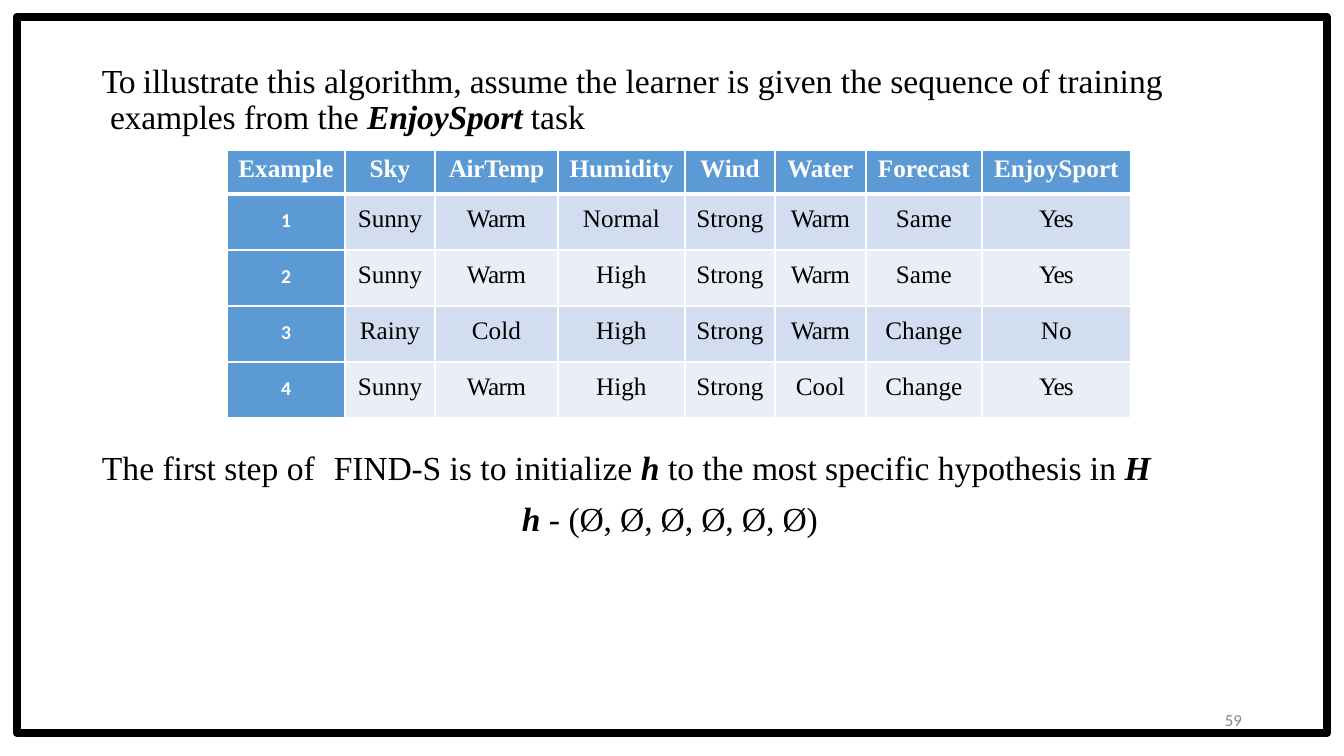
"""Builds the slide that introduces the FIND-S training examples."""
from lxml import etree
from pptx import Presentation
from pptx.dml.color import RGBColor
from pptx.enum.shapes import MSO_SHAPE
from pptx.enum.text import PP_ALIGN
from pptx.oxml.ns import qn
from pptx.util import Pt

PX = 9071.43
RECTANGLE = MSO_SHAPE.RECTANGLE
CENTER = PP_ALIGN.CENTER
COLORS = {"black": "000000", "white": "FFFFFF", "grey": "888888",
          "header": "5B9AD5", "odd": "D2DEEF", "even": "EAEFF7"}
SERIF = {"name": "Times New Roman", "size": Pt(24), "bold": False, "italic": False}
TERM = {**SERIF, "bold": True, "italic": True}
CELL = {**SERIF, "size": Pt(18)}
HEADING = {**CELL, "bold": True}
ROW_LABEL = {"name": "Calibri", "size": Pt(14), "bold": True}
PAGE = {"name": "Calibri", "size": Pt(12)}


def px(length):
    return round(length * PX)


def add_run(paragraph, text, style, color="black", spacing=0):
    run = paragraph.add_run()
    run.text = text
    for attribute, value in style.items():
        setattr(run.font, attribute, value)
    run.font.color.rgb = RGBColor.from_string(COLORS[color])
    if spacing:
        run._r.get_or_add_rPr().set("spc", str(spacing))


prs = Presentation()
prs.slide_width, prs.slide_height = px(1344), px(756)
slide = prs.slides.add_slide(prs.slide_layouts[6])

text_frames = []
for left, top, width, height, inset in [(1222, 713, 23, 20, 0),
                                        (101, 58, 1069, 80, 6),
                                        (101, 436, 1051, 104, 11)]:
    frame = slide.shapes.add_textbox(px(left), px(top), px(width), px(height)).text_frame
    frame.word_wrap = True
    frame.margin_left = frame.margin_right = frame.margin_bottom = 0
    frame.margin_top = px(inset)
    text_frames.append(frame)
page_frame, intro_frame, step_frame = text_frames

page = page_frame.paragraphs[0]
page.line_spacing = Pt(12.4)
page._p.get_or_add_pPr().set("marL", str(px(3)))
add_run(page, "59", PAGE, "grey")

intro = intro_frame.paragraphs[0]
intro.line_spacing = Pt(25.9)
intro_format = intro._p.get_or_add_pPr()
intro_format.set("marL", str(px(9)))
intro_format.set("indent", str(px(-8)))
for text, style, spacing in [
        ("To ", SERIF, -90), ("illustrate ", SERIF, -10), ("this ", SERIF, 0),
        ("algorithm, assume ", SERIF, -10),
        ("the learner is given the sequence of training ", SERIF, 0),
        ("examples ", SERIF, -10), ("from the ", SERIF, 0),
        ("EnjoySport ", TERM, -10), ("task", SERIF, 0)]:
    add_run(intro, text, style, spacing=spacing)

first_step = step_frame.paragraphs[0]
step_format = first_step._p.get_or_add_pPr()
step_format.set("marL", str(px(1)))
tabs = etree.SubElement(step_format, qn("a:tabLst"))
etree.SubElement(tabs, qn("a:tab"), pos=str(px(232)), algn="l")
for text, style, spacing in [
        ("The ", SERIF, 0), ("first ", SERIF, -10), ("step of\t", SERIF, 0),
        ("FIND-S ", SERIF, -10), ("is to initialize ", SERIF, 0), ("h ", TERM, 0),
        ("to the ", SERIF, 0), ("most ", SERIF, -10),
        ("specific hypothesis in ", SERIF, 0), ("H", TERM, 0)]:
    add_run(first_step, text, style, spacing=spacing)

hypothesis = step_frame.add_paragraph()
hypothesis.space_before = Pt(7.2)
hypothesis._p.get_or_add_pPr().set("marL", str(px(421)))
for text, style, spacing in [("h ", TERM, -10), ("- ", SERIF, 0),
                             ("(Ø, Ø, Ø, Ø, Ø, Ø)", SERIF, -10)]:
    add_run(hypothesis, text, style, spacing=spacing)

examples = [
    ["Example", "Sky", "AirTemp", "Humidity", "Wind", "Water", "Forecast", "EnjoySport"],
    ["1", "Sunny", "Warm", "Normal", "Strong", "Warm", "Same", "Yes"],
    ["2", "Sunny", "Warm", "High", "Strong", "Warm", "Same", "Yes"],
    ["3", "Rainy", "Cold", "High", "Strong", "Warm", "Change", "No"],
    ["4", "Sunny", "Warm", "High", "Strong", "Cool", "Change", "Yes"],
]
column_widths = [118, 90, 123, 127, 90, 91, 116, 149]
row_heights = [44, 56, 56, 56, 56]
letter_spacing = {"Warm": -40, "Yes": -70, "AirTemp": -20, "Water": -20}
table = slide.shapes.add_table(len(row_heights), len(column_widths), px(227), px(150),
                               px(sum(column_widths)), px(sum(row_heights))).table
for column, width in zip(table.columns, column_widths):
    column.width = px(width)
for row, height in zip(table.rows, row_heights):
    row.height = px(height)

for r, values in enumerate(examples):
    for c, value in enumerate(values):
        if r == 0:
            style, color, fill, inset = HEADING, "white", "header", 5
        elif c == 0:
            style, color, fill, inset = ROW_LABEL, "white", "header", 15
        else:
            style, color, fill, inset = CELL, "black", "odd" if r % 2 else "even", 11
        cell = table.cell(r, c)
        cell.margin_left = cell.margin_right = cell.margin_bottom = 0
        cell.margin_top = px(inset)
        borders = cell._tc.get_or_add_tcPr()
        for side in ("lnL", "lnR", "lnT", "lnB"):
            thick = (r, side) in [(0, "lnB"), (1, "lnT")]
            border = etree.SubElement(borders, qn(f"a:{side}"), w=str(Pt(3 if thick else 1.5)))
            solid = etree.SubElement(border, qn("a:solidFill"))
            etree.SubElement(solid, qn("a:srgbClr"), val=COLORS["white"])
        cell.fill.solid()
        cell.fill.fore_color.rgb = RGBColor.from_string(COLORS[fill])
        paragraph = cell.text_frame.paragraphs[0]
        paragraph.alignment = CENTER
        add_run(paragraph, value, style, color, letter_spacing.get(value, 0))

slide_border = slide.shapes.add_shape(RECTANGLE, px(17), px(17), px(1310), px(716))
slide_border.shadow.inherit = False
slide_border.fill.background()
slide_border.line.color.rgb = RGBColor.from_string(COLORS["black"])
slide_border.line.width = Pt(6)

prs.save("out.pptx")
